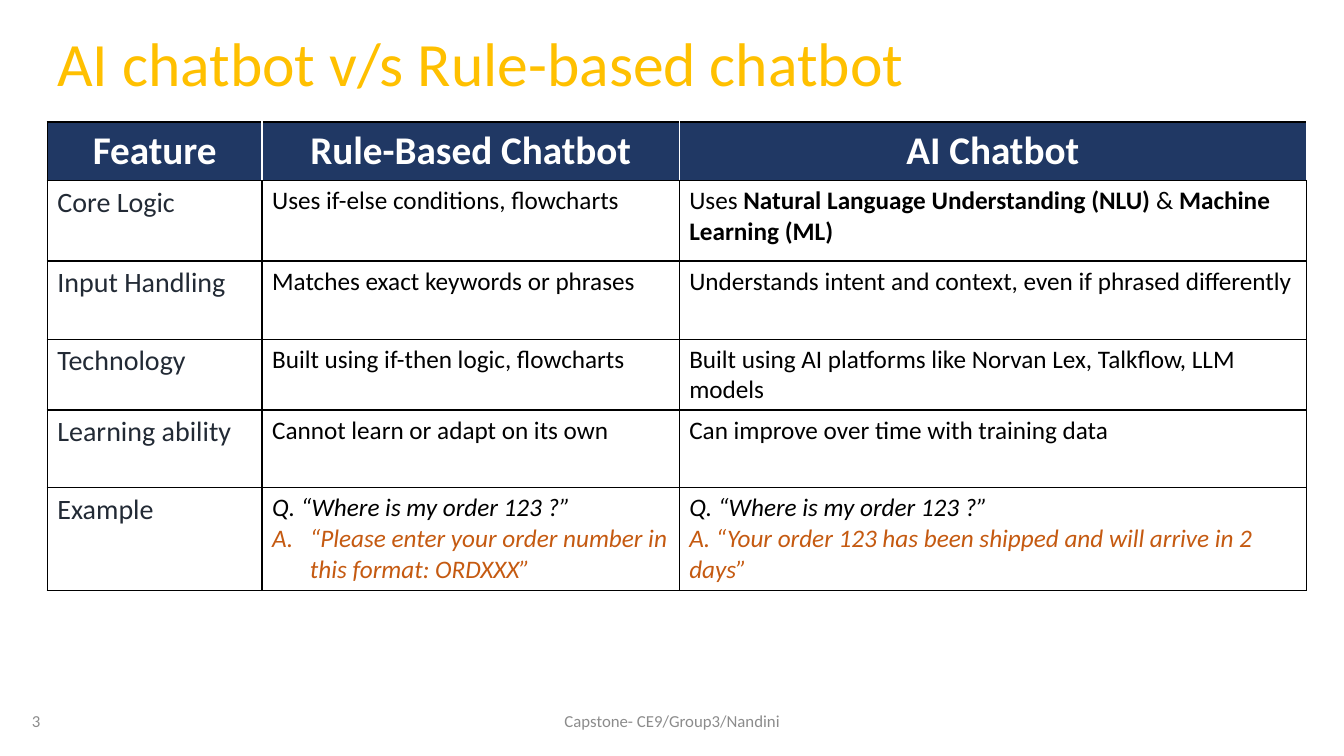
"""Build a slide that compares AI chatbots with rule-based chatbots in a table."""
from dataclasses import dataclass
from typing import Any

import lxml.etree
import pptx
import pptx.dml.color
import pptx.enum.text
import pptx.oxml.ns
import pptx.util

Pt = pptx.util.Pt
qn = pptx.oxml.ns.qn
LEFT = pptx.enum.text.PP_ALIGN.LEFT
CENTER = pptx.enum.text.PP_ALIGN.CENTER


@dataclass(frozen=True)
class Theme:
    font: str = "Calibri"
    title: str = "FFC000"
    footer: str = "8C8C8C"
    header: str = "203864"
    white: str = "FFFFFF"
    black: str = "000000"
    feature: str = "222A35"
    answer: str = "C55A11"
    title_size: float = 44
    header_size: float = 28
    feature_size: float = 20
    body_size: float = 18
    footer_size: float = 12


THEME = Theme()


@dataclass(frozen=True)
class Style:
    size: float
    color: str
    bold: bool = False
    italic: bool = False


TITLE = Style(THEME.title_size, THEME.title)
FOOTER = Style(THEME.footer_size, THEME.footer)
HEADER = Style(THEME.header_size, THEME.white, bold=True)
FEATURE = Style(THEME.feature_size, THEME.feature)
BODY = Style(THEME.body_size, THEME.black)
STRONG = Style(THEME.body_size, THEME.black, bold=True)
QUESTION = Style(THEME.body_size, THEME.black, italic=True)
ANSWER = Style(THEME.body_size, THEME.answer, italic=True)


@dataclass(frozen=True)
class Span:
    text: str
    style: Style = BODY


@dataclass(frozen=True)
class Line:
    spans: tuple[Span, ...]
    alignment: Any = LEFT
    spacing: float = 1.0
    lettered: bool = False


@dataclass(frozen=True)
class Label:
    left: float
    top: float
    width: float
    height: float
    line: Line


def line(text: str, style: Style = BODY, **options: Any) -> Line:
    return Line((Span(text, style),), **options)


ASK = line("Q. “Where is my order 123 ?”", QUESTION)
LABELS = (
    Label(33.8, -5, 828, 104.4, line("AI chatbot v/s Rule-based chatbot", TITLE, spacing=0.9)),
    Label(15.8, 500.4, 216, 28.8, line("3", FOOTER)),
    Label(318.2, 500.4, 324, 28.8,
          line("Capstone- CE9/Group3/Nandini", FOOTER, alignment=CENTER)),
)
TABLE_LEFT, TABLE_TOP = 33.8, 87.1
COLUMN_WIDTHS = (153.4, 298, 448)
ROW_HEIGHTS = (41.8, 57.6, 55.8, 50.6, 55.6, 73.6)
HEADINGS = ("Feature", "Rule-Based Chatbot", "AI Chatbot")
COMPARISON = (
    ("Core Logic",
     (line("Uses if-else conditions, flowcharts"),),
     (Line((Span("Uses "), Span("Natural Language Understanding (NLU) ", STRONG),
            Span("& "), Span("Machine Learning (ML)", STRONG))),)),
    ("Input Handling",
     (line("Matches exact keywords or phrases"),),
     (line("Understands intent and context, even if phrased differently"),)),
    ("Technology",
     (line("Built using if-then logic, flowcharts"),),
     (line("Built using AI platforms like Norvan Lex, Talkflow, LLM models"),)),
    ("Learning ability",
     (line("Cannot learn or adapt on its own"),),
     (line("Can improve over time with training data"),)),
    ("Example",
     (ASK, line("“Please enter your order number in this format: ORDXXX”", ANSWER, lettered=True)),
     (ASK, line("A. “Your order 123 has been shipped and will arrive in 2 days”", ANSWER))),
)


def rgb(color: str) -> pptx.dml.color.RGBColor:
    return pptx.dml.color.RGBColor.from_string(color)


def apply_format(target: Any, values: dict[str, Any]) -> None:
    for name, value in values.items():
        setattr(target, name, value)


def write_lines(frame: Any, lines: tuple[Line, ...]) -> None:
    frame.word_wrap = True
    for index, item in enumerate(lines):
        paragraph = frame.add_paragraph() if index else frame.paragraphs[0]
        apply_format(paragraph, {"alignment": item.alignment, "line_spacing": item.spacing})
        if item.lettered:
            properties = paragraph._p.get_or_add_pPr()
            indent = Pt(27)
            properties.set("marL", str(indent))
            properties.set("indent", str(-indent))
            lxml.etree.SubElement(properties, qn("a:buAutoNum"), type="alphaUcPeriod")
        for span in item.spans:
            run = paragraph.add_run()
            run.text = span.text
            style = span.style
            apply_format(run.font, {"name": THEME.font, "size": Pt(style.size),
                                    "bold": style.bold, "italic": style.italic})
            run.font.color.rgb = rgb(style.color)


def add_label(slide: Any, label: Label) -> None:
    shape = slide.shapes.add_textbox(
        Pt(label.left), Pt(label.top), Pt(label.width), Pt(label.height))
    shape.text_frame.vertical_anchor = pptx.enum.text.MSO_ANCHOR.MIDDLE
    write_lines(shape.text_frame, (label.line,))


def style_cell(cell: Any, fill: str, borders: dict[str, str]) -> None:
    cell.fill.solid()
    cell.fill.fore_color.rgb = rgb(fill)
    properties = cell._tc.get_or_add_tcPr()
    for index, (side, color) in enumerate(borders.items()):
        border = lxml.etree.Element(qn(f"a:ln{side}"), w=str(Pt(1)))
        solid = lxml.etree.SubElement(border, qn("a:solidFill"))
        lxml.etree.SubElement(solid, qn("a:srgbClr"), val=color)
        properties.insert(index, border)


def add_comparison(slide: Any) -> None:
    rows = [tuple((line(text, HEADER, alignment=CENTER),) for text in HEADINGS)]
    rows += [((line(feature, FEATURE),), rule, ai) for feature, rule, ai in COMPARISON]
    table = slide.shapes.add_table(
        len(rows), len(HEADINGS), Pt(TABLE_LEFT), Pt(TABLE_TOP),
        Pt(sum(COLUMN_WIDTHS)), Pt(sum(ROW_HEIGHTS))).table
    apply_format(table, {"first_row": False, "horz_banding": False})
    for column, width in zip(table.columns, COLUMN_WIDTHS):
        column.width = Pt(width)
    for row, height in zip(table.rows, ROW_HEIGHTS):
        row.height = Pt(height)
    for row_index, row_lines in enumerate(rows):
        for column_index, lines in enumerate(row_lines):
            cell = table.cell(row_index, column_index)
            borders = dict.fromkeys("LRTB", THEME.black)
            if row_index == 0:
                borders["R"] = THEME.white
                borders["L"] = THEME.white if column_index else THEME.black
            style_cell(cell, THEME.white if row_index else THEME.header, borders)
            write_lines(cell.text_frame, lines)


def main() -> None:
    presentation = pptx.Presentation()
    apply_format(presentation, {"slide_width": Pt(960), "slide_height": Pt(540)})
    slide = presentation.slides.add_slide(presentation.slide_layouts[6])
    for label in LABELS:
        add_label(slide, label)
    add_comparison(slide)
    presentation.save("out.pptx")


if __name__ == "__main__":
    main()
